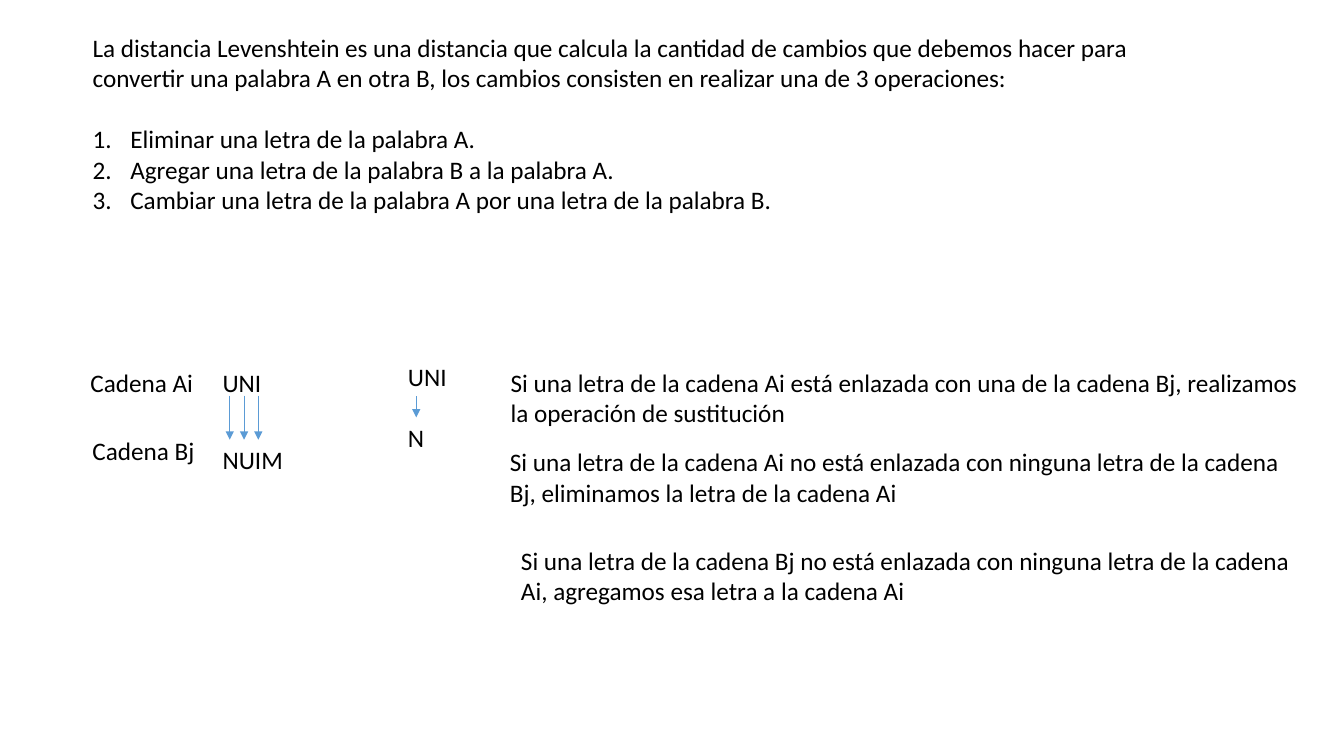
from pptx import Presentation
from pptx.dml.color import RGBColor as Rgb
from pptx.enum.shapes import MSO_CONNECTOR as Link
from pptx.enum.text import MSO_ANCHOR as Anchor, MSO_AUTO_SIZE as Fit, PP_ALIGN as Align
from pptx.oxml.ns import qn
from pptx.util import Cm, Pt
from lxml.etree import SubElement as Sub

# Content
INTRO = ("La distancia Levenshtein es una distancia que calcula la cantidad de cambios "
         "que debemos hacer para convertir una palabra A en otra B, los cambios "
         "consisten en realizar una de 3 operaciones:")
STEPS = [
    "Eliminar una letra de la palabra A.",
    "Agregar una letra de la palabra B a la palabra A.",
    "Cambiar una letra de la palabra A por una letra de la palabra B.",
]
# text, left, top, width (cm)
WORDS = [
    ("Cadena Ai", 2.03, 9.12, 3.12),
    ("Cadena Bj", 2.08, 10.85, 3.12),
    ("UNI", 5.36, 9.12, 1.63),
    ("NUIM", 5.36, 11.07, 2.06),
    ("UNI", 10.03, 8.97, 1.5),
    ("N", 10.03, 10.52, 0.91),
]
# text, left, top (cm)
RULES = [
    ("Si una letra de la cadena Ai está enlazada con una de la cadena Bj, "
     "realizamos la operación de sustitución", 12.62, 9.12),
    ("Si una letra de la cadena Ai no está enlazada con ninguna letra de la cadena Bj, "
     "eliminamos la letra de la cadena Ai", 12.6, 11.13),
    ("Si una letra de la cadena Bj no está enlazada con ninguna letra de la cadena Ai, "
     "agregamos esa letra a la cadena Ai", 12.88, 13.61),
]
# x, top, bottom (cm): three equal steps under UNI, then the single link
LINKS = [(5.79 + 0.36 * i, 9.97, 11.08) for i in range(3)] + [(10.49, 9.98, 10.52)]

THEME = {"font": "Calibri", "size": Pt(18), "ink": Rgb(0, 0, 0),
         "line": Rgb(0x5B, 0x9B, 0xD5), "thin": Pt(0.5)}
RULE_W, ROW_H, RULE_H = 20.68, 1.02, 1.8
INDENT = Cm(0.95)


def write(para, text, gap=0, number=False):
    """Put formatted text in a paragraph, numbered on request."""
    run = para.add_run()
    run.text = text
    run.font.name, run.font.size = THEME["font"], THEME["size"]
    run.font.color.rgb = THEME["ink"]
    para.alignment = Align.LEFT
    para.space_before, para.space_after = Pt(gap), Pt(0)
    props = para._p.get_or_add_pPr()
    props.set("marL", str(INDENT if number else 0))
    props.set("indent", str(-INDENT if number else 0))
    if number:
        Sub(props, qn("a:buFont"), typeface="+mj-lt")
        Sub(props, qn("a:buAutoNum"), type="arabicPeriod")
    else:
        Sub(props, qn("a:buNone"))


def label(text, x, y, w, h, wrap):
    frame = slide.shapes.add_textbox(Cm(x), Cm(y), Cm(w), Cm(h)).text_frame
    frame.word_wrap = wrap
    write(frame.paragraphs[0], text)


def arrow(x, top, end):
    link = slide.shapes.add_connector(Link.STRAIGHT, Cm(x), Cm(top), Cm(x), Cm(end))
    link.line.color.rgb, link.line.width = THEME["line"], THEME["thin"]
    Sub(link.line._get_or_add_ln(), qn("a:tailEnd"), type="triangle")
    Sub(link._element.spPr, qn("a:effectLst"))


deck = Presentation()
deck.slide_width, deck.slide_height = Cm(33.87), Cm(19.05)
slide = deck.slides.add_slide(deck.slide_layouts[1])

# The slide has no title
title = slide.shapes.title._element
title.getparent().remove(title)

# Definition and numbered operations
body = slide.placeholders[1]
body.left, body.top, body.width, body.height = Cm(2.08), Cm(0.69), Cm(28.6), Cm(4.88)
frame = body.text_frame
frame.auto_size, frame.vertical_anchor = Fit.NONE, Anchor.TOP
write(frame.paragraphs[0], INTRO)
for i, step in enumerate(STEPS):
    write(frame.add_paragraph(), step, gap=0 if i else 22, number=True)

# Word pairs, their links and the rules
for text, x, y, w in WORDS:
    label(text, x, y, w, ROW_H, False)
for link in LINKS:
    arrow(*link)
for text, x, y in RULES:
    label(text, x, y, RULE_W, RULE_H, True)

deck.save("out.pptx")
